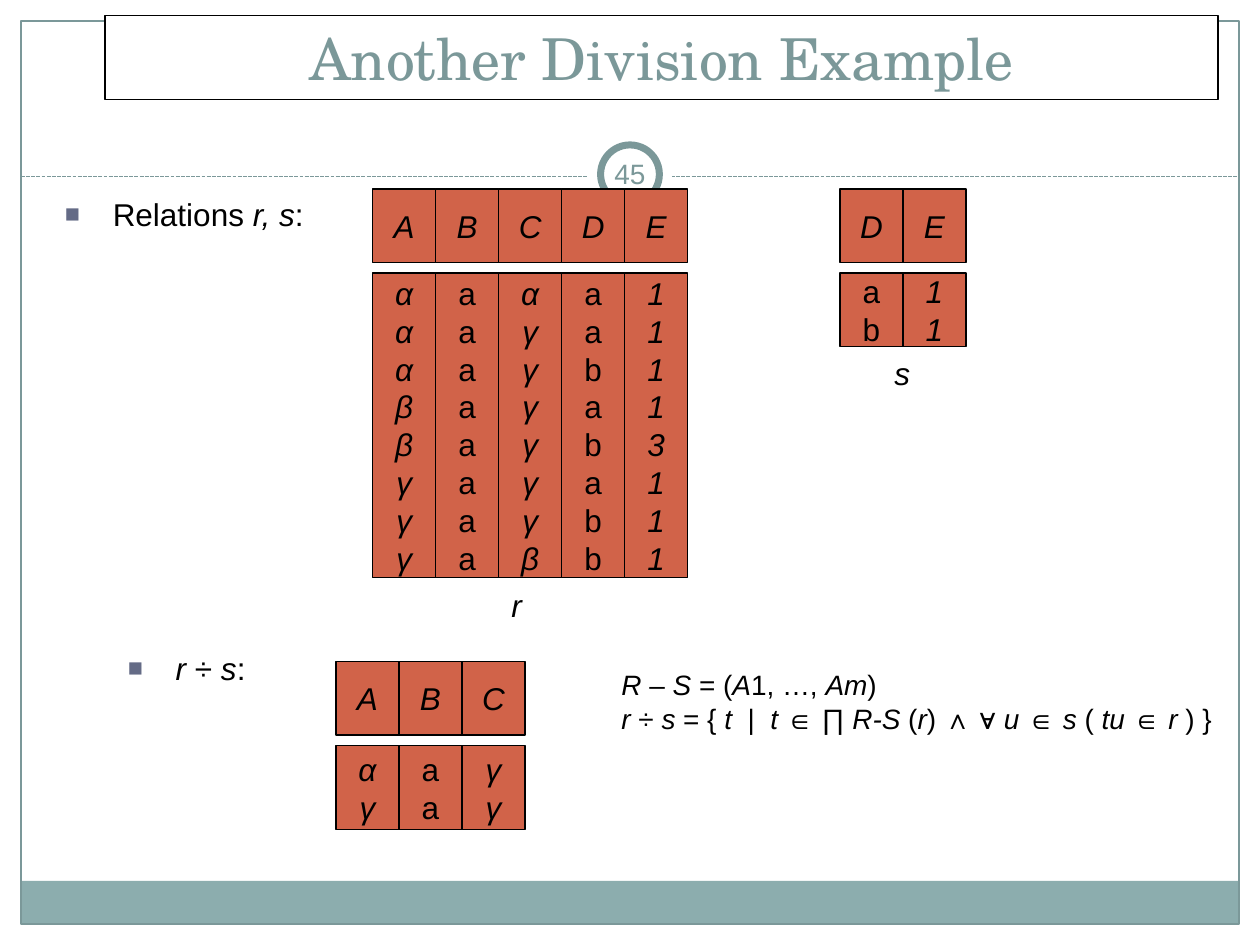
from dataclasses import dataclass

from lxml.etree import SubElement
from pptx import Presentation
from pptx.dml.color import RGBColor as RGB
from pptx.enum.dml import MSO_LINE_DASH_STYLE as Dash
from pptx.enum.shapes import MSO_CONNECTOR_TYPE as Connector, MSO_SHAPE as Shape
from pptx.enum.text import MSO_ANCHOR as Anchor, PP_ALIGN as Align
from pptx.oxml.ns import qn
from pptx.util import Inches, Pt


@dataclass(frozen=True)
class Theme:
    accent: str = "7B9899"
    band: str = "8CADAE"
    cell: str = "D16349"
    bullet: str = "646B86"
    ink: str = "000000"
    paper: str = "FFFFFF"
    title_font: str = "TeX Gyre Schola"
    body_font: str = "Arial"
    title_size: int = 33
    body_size: int = 18
    small_size: int = 16
    thin: float = 0.75
    ring: float = 4


THEME = Theme()
COLUMNS, ROWS = 120, 90
WIDTH, HEIGHT = Inches(10), Inches(7.5)


def place(left, top, width, height):
    return (round(left * WIDTH / COLUMNS), round(top * HEIGHT / ROWS),
            round(width * WIDTH / COLUMNS), round(height * HEIGHT / ROWS))


def draw(slide, box, kind=Shape.RECTANGLE, fill=None, line=None, weight=THEME.thin):
    figure = slide.shapes.add_shape(kind, *place(*box))
    figure.shadow.inherit = False
    if fill:
        figure.fill.solid()
        figure.fill.fore_color.rgb = RGB.from_string(fill)
    else:
        figure.fill.background()
    if line:
        figure.line.color.rgb = RGB.from_string(line)
        figure.line.width = Pt(weight)
    else:
        figure.line.fill.background()
    return figure


def add_bullet(paragraph, hang=0.38):
    properties = paragraph._p.get_or_add_pPr()
    properties.set("marL", str(Inches(hang)))
    properties.set("indent", str(-Inches(hang)))
    SubElement(SubElement(properties, qn("a:buClr")), qn("a:srgbClr"), val=THEME.bullet)
    SubElement(properties, qn("a:buSzPct"), val="80000")
    SubElement(properties, qn("a:buFont"), typeface=THEME.body_font)
    SubElement(properties, qn("a:buChar"), char="■")


def write(holder, text, size=THEME.body_size, font=THEME.body_font, color=THEME.ink,
          align=Align.CENTER, anchor=Anchor.MIDDLE, wrap=False, bullet=False,
          italic=False, margin=0.1):
    """Text between asterisks is italic."""
    frame = holder.text_frame
    frame.word_wrap = wrap
    frame.vertical_anchor = anchor
    frame.margin_left = frame.margin_right = Inches(margin)
    frame.margin_top = frame.margin_bottom = Inches(0.05)
    for index, line in enumerate(text.split("\n")):
        paragraph = frame.add_paragraph() if index else frame.paragraphs[0]
        paragraph.alignment = align
        if bullet:
            add_bullet(paragraph)
        for part, words in enumerate(line.split("*")):
            if words:
                run = paragraph.add_run()
                run.text = words
                run.font.name, run.font.size = font, Pt(size)
                run.font.italic = italic or part % 2 == 1
                run.font.color.rgb = RGB.from_string(color)


def label(slide, box, text, **style):
    write(slide.shapes.add_textbox(*place(*box)), text, **style)


def page_frame(slide, box):
    left, top, width, height = box
    draw(slide, (left, top + height - 4.1, width, 4.1), fill=THEME.band)
    draw(slide, box, line=THEME.accent)
    x, y, span, _ = place(left, top + 14.8, width, 0)
    divider = slide.shapes.add_connector(Connector.STRAIGHT, x, y, x + span, y)
    divider.line.color.rgb = RGB.from_string(THEME.accent)
    divider.line.width = Pt(THEME.thin)
    divider.line.dash_style = Dash.SQUARE_DOT
    SubElement(divider._element.spPr, qn("a:effectLst"))


def number_badge(slide, box):
    left, top, size, _ = box
    inset = size * 0.15
    inner = size - 2 * inset
    draw(slide, box, Shape.OVAL, fill=THEME.paper)
    draw(slide, (left + inset, top + inset, inner, inner), Shape.OVAL,
         THEME.paper, THEME.accent, THEME.ring)


def heading(slide, box, text):
    write(draw(slide, box, fill=THEME.paper, line=THEME.ink), text, wrap=True,
          size=THEME.title_size, font=THEME.title_font, color=THEME.accent)


def relation(slide, box, columns, header=7, gap=1):
    left, top, width, height = box
    step = width / len(columns)
    for index, (attribute, values) in enumerate(columns.items()):
        x = left + index * step
        name_cell = draw(slide, (x, top, step, header), fill=THEME.cell, line=THEME.ink)
        write(name_cell, attribute, italic=True)
        body_top = header + gap
        values_cell = draw(slide, (x, top + body_top, step, height - body_top),
                           fill=THEME.cell, line=THEME.ink)
        write(values_cell, "\n".join(values), italic=values[0] not in "ab")


def bullet_line(slide, box, text):
    label(slide, box, text, align=Align.LEFT, anchor=Anchor.TOP, wrap=True, bullet=True)


def definition(slide, box, text):
    label(slide, box, text, size=THEME.small_size, align=Align.LEFT,
          anchor=Anchor.TOP, wrap=True)


def main():
    deck = Presentation()
    deck.slide_width, deck.slide_height = WIDTH, HEIGHT
    slide = deck.slides.add_slide(deck.slide_layouts[6])
    page_frame(slide, (2, 2, 116, 86))
    number_badge(slide, (56, 12.6, 8, 8))
    heading(slide, (10, 1.5, 106, 8), "Another Division Example")
    relation(slide, (35.5, 18, 30, 37), {
        "A": "αααββγγγ", "B": "aaaaaaaa", "C": "αγγγγγγβ",
        "D": "aabababb", "E": "11113111"})
    bullet_line(slide, (5, 18, 28, 4.3), "Relations *r, s*:")
    relation(slide, (80, 18, 12, 15), {"D": "ab", "E": "11"})
    bullet_line(slide, (11, 61.2, 17, 4.3), "*r *÷ *s*:")
    relation(slide, (32, 63, 18, 16), {"A": "αγ", "B": "aa", "C": "γγ"})
    label(slide, (47.5, 55.2, 3.4, 4.8), "r", italic=True)
    label(slide, (84, 33.1, 3.8, 4.8), "s", italic=True)
    definition(slide, (58, 63, 59, 7.7),
               "*R* – *S *= (*A*1, …, *Am*)\n"
               "*r *÷ *s* = { *t*  |  *t *∈ ∏ *R-S *(*r*) ∧ ∀ *u *∈ *s *( *tu *∈* r *) }")
    label(slide, (57, 13.6, 6, 5.8), "45", size=THEME.small_size,
          color=THEME.accent, wrap=True, margin=0.05)
    deck.save("out.pptx")


if __name__ == "__main__":
    main()
